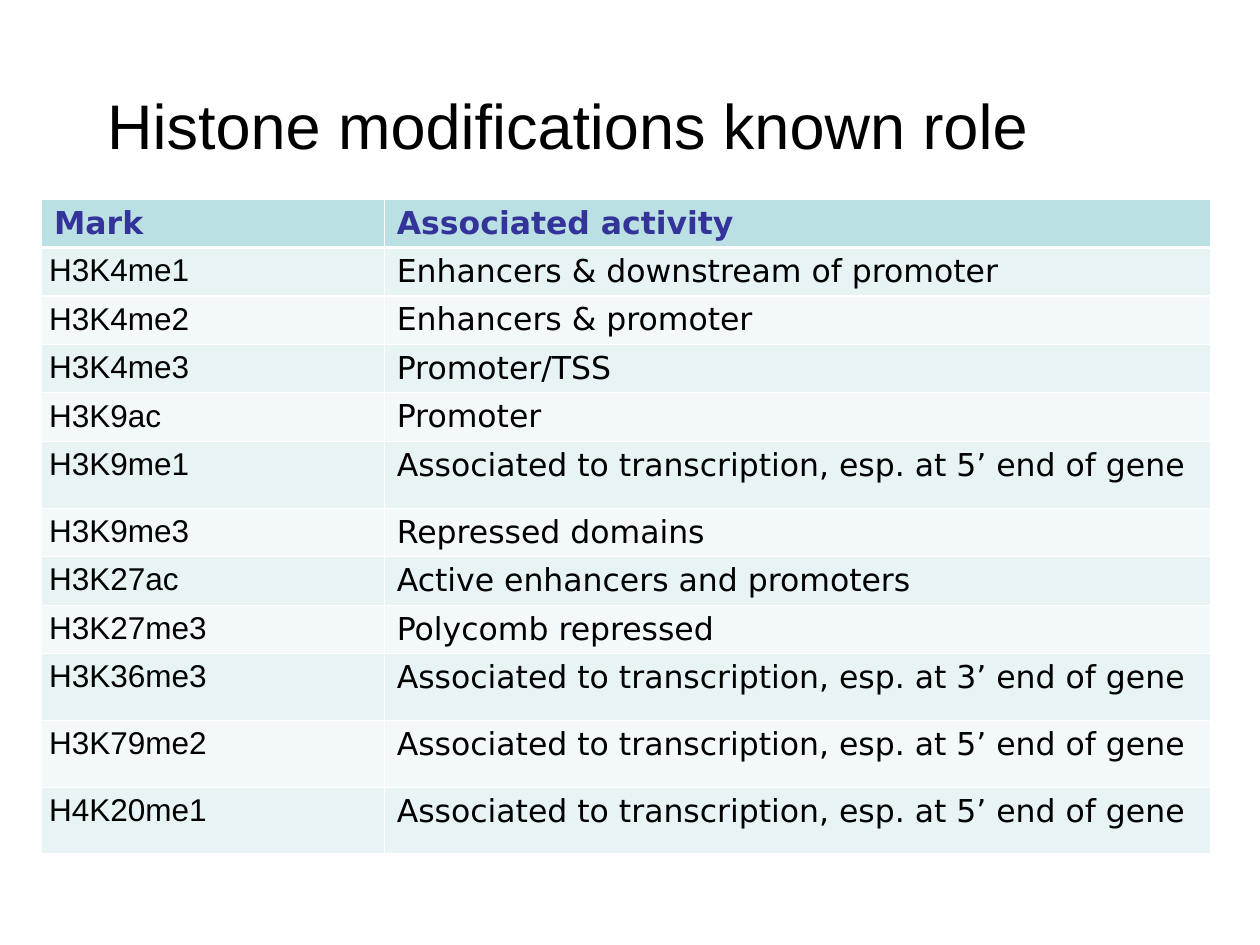
from lxml.etree import SubElement
from pptx import Presentation
from pptx.dml.color import RGBColor
from pptx.enum.text import MSO_ANCHOR, PP_ALIGN
from pptx.oxml.ns import qn
from pptx.util import Inches, Pt


def color(hex_string):
    return RGBColor.from_string(hex_string)


def add_border(cell, side, width):
    line = SubElement(cell._tc.get_or_add_tcPr(), qn(f"a:ln{side}"), w=str(Pt(width)))
    fill = SubElement(line, qn("a:solidFill"))
    SubElement(fill, qn("a:srgbClr"), val="FFFFFF")


LONG_PREFIX = "Associated to transcription"
ROWS = [
    ("Mark", "Associated activity"),
    ("H3K4me1", "Enhancers & downstream of promoter"),
    ("H3K4me2", "Enhancers & promoter"),
    ("H3K4me3", "Promoter/TSS"),
    ("H3K9ac", "Promoter"),
    ("H3K9me1", f"{LONG_PREFIX}, esp. at 5’ end of gene"),
    ("H3K9me3", "Repressed domains"),
    ("H3K27ac", "Active enhancers and promoters"),
    ("H3K27me3", "Polycomb repressed"),
    ("H3K36me3", f"{LONG_PREFIX}, esp. at 3’ end of gene"),
    ("H3K79me2", f"{LONG_PREFIX}, esp. at 5’ end of gene"),
    ("H4K20me1", f"{LONG_PREFIX}, esp. at 5’ end of gene"),
]

presentation = Presentation()
presentation.slide_width = Inches(10)
presentation.slide_height = Inches(7.5)
slide = presentation.slides.add_slide(presentation.slide_layouts[5])

# Title
title = slide.shapes.title
title.left, title.top = Inches(0.75), Inches(0.58)
title.width, title.height = Inches(8.5), Inches(1)
title.text_frame.vertical_anchor = MSO_ANCHOR.TOP
title.text_frame.margin_top = Inches(0.11)
paragraph = title.text_frame.paragraphs[0]
paragraph.alignment = PP_ALIGN.LEFT
run = paragraph.add_run()
run.text = "Histone modifications known role"
run.font.size = Pt(36)
run.font.name = "Arial"
run.font.color.rgb = color("000000")

# Table grid
table = slide.shapes.add_table(
    len(ROWS), 2, Inches(0.33), Inches(1.58), Inches(9.28), Inches(5.08)
).table
table.columns[0].width = Inches(2.72)
table.columns[1].width = Inches(6.56)

# Table cells
for row_index, texts in enumerate(ROWS):
    is_header = row_index == 0
    is_long = texts[1].startswith(LONG_PREFIX)
    table.rows[row_index].height = Inches(0.53 if is_long else 0.37)
    band = "BBE0E3" if is_header else ("F3F9FA", "E7F3F4")[row_index % 2]

    for column_index, text in enumerate(texts):
        cell = table.cell(row_index, column_index)
        is_mark = column_index == 0 and not is_header

        # Thicker line between the header and the body
        add_border(cell, "L", 0.75)
        add_border(cell, "R", 0.75)
        add_border(cell, "T", 1.47 if row_index == 1 else 0.75)
        add_border(cell, "B", 1.47 if is_header else 0.75)
        cell.fill.solid()
        cell.fill.fore_color.rgb = color(band)

        cell.margin_left = cell.margin_right = Inches(0.06 if is_mark else 0.1)
        cell.margin_top = cell.margin_bottom = Inches(0.06 if is_mark else 0.05)
        paragraph = cell.text_frame.paragraphs[0]
        paragraph.line_spacing = 0.94 if is_mark else 0.98
        run = paragraph.add_run()
        run.text = text
        run.font.size = Pt(18)
        run.font.name = "Arial" if is_mark else "DejaVu Sans"
        run.font.bold = is_header
        run.font.color.rgb = color("333399" if is_header else "000000")

presentation.save("out.pptx")
